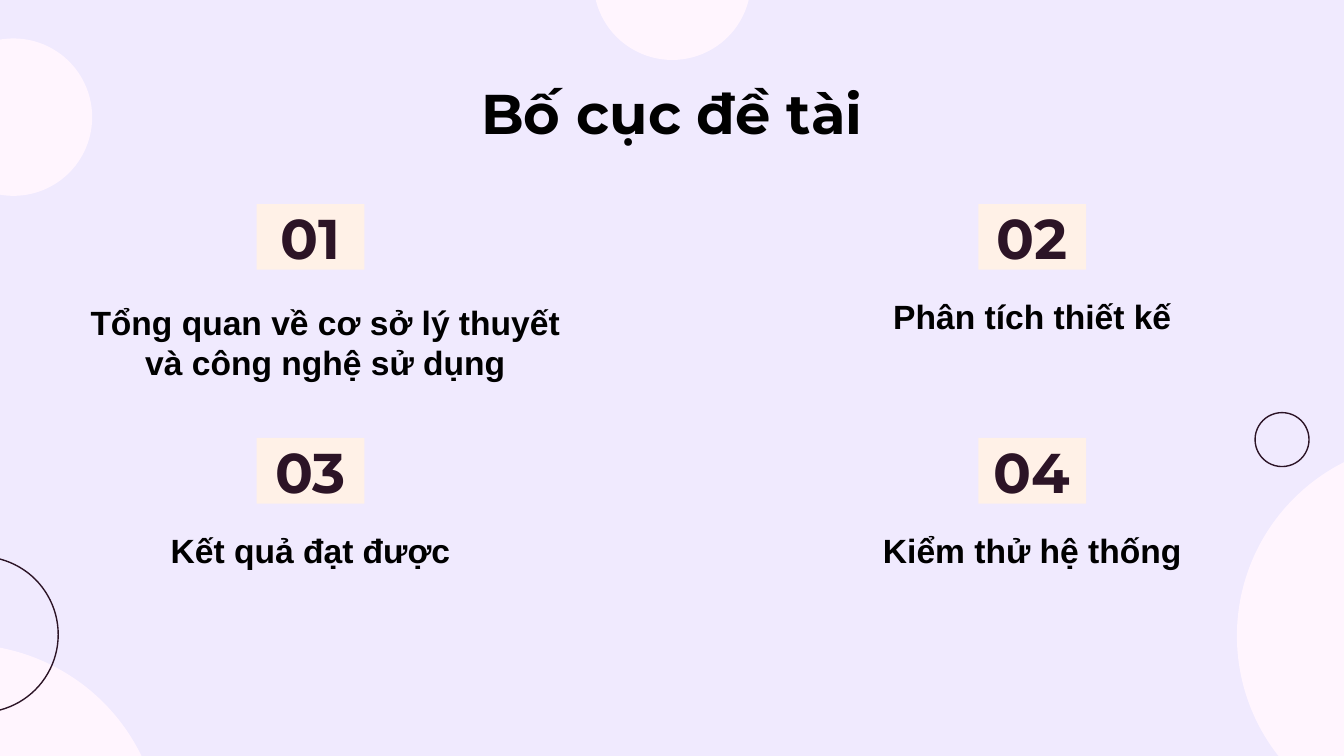
from pptx import Presentation
from pptx.dml.color import RGBColor
from pptx.enum.shapes import MSO_SHAPE
from pptx.enum.text import MSO_ANCHOR, PP_ALIGN
from pptx.util import Cm, Pt

BACKGROUND, BLUSH, PEACH, PLUM, BLACK = "F0EAFE", "FFF5FE", "FFF1E7", "2C1426", "000000"
HEADING = {"name": "Montserrat", "size": Pt(30), "bold": True}
BODY = {"name": "Arial", "size": Pt(18), "bold": True}


def rgb(value):
    return RGBColor.from_string(value)


class OutlineSlide:
    def __init__(self, prs):
        self.s = prs.slides.add_slide(prs.slide_layouts[5])
        fill = self.s.background.fill
        fill.solid()
        fill.fore_color.rgb = rgb(BACKGROUND)

    def set_text(self, sp, text, style, color, anchor=MSO_ANCHOR.TOP):
        tf = sp.text_frame
        frame = {"word_wrap": True, "vertical_anchor": anchor}
        for side in ("left", "top", "right", "bottom"):
            frame["margin_" + side] = Cm(0.25)
        for name, value in frame.items():
            setattr(tf, name, value)
        p = tf.paragraphs[0]
        p.alignment = PP_ALIGN.CENTER
        r = p.add_run()
        r.text = text
        for name, value in style.items():
            setattr(r.font, name, value)
        r.font.color.rgb = rgb(color)

    def title(self, text, left, top, width, height):
        sp = self.s.shapes.title
        box = {"left": left, "top": top, "width": width, "height": height}
        for name, value in box.items():
            setattr(sp, name, Cm(value))
        self.set_text(sp, text, HEADING, BLACK)

    def shape(self, kind, left, top, width, height, fill=None, line=None):
        sp = self.s.shapes.add_shape(kind, Cm(left), Cm(top), Cm(width), Cm(height))
        sp.shadow.inherit = False
        if fill:
            sp.fill.solid()
            sp.fill.fore_color.rgb = rgb(fill)
        else:
            sp.fill.background()
        if line:
            sp.line.color.rgb = rgb(line)
            sp.line.width = Pt(0.75)
        else:
            sp.line.fill.background()
        return sp

    def circle(self, left, top, size, fill, line):
        self.shape(MSO_SHAPE.OVAL, left, top, size, size, fill, line)

    def badge(self, text, center, top):
        sp = self.shape(MSO_SHAPE.RECTANGLE, center - 1.02, top, 2.04, 1.24, PEACH)
        self.set_text(sp, text, HEADING, PLUM, MSO_ANCHOR.MIDDLE)

    def caption(self, text, center, top, width):
        sp = self.s.shapes.add_textbox(Cm(center - width / 2), Cm(top), Cm(width), Cm(1.24))
        self.set_text(sp, text, BODY, BLACK)


def main():
    prs = Presentation()
    prs.slide_width, prs.slide_height = Cm(25.4), Cm(14.29)
    slide = OutlineSlide(prs)

    # Background circles: filled, then outlined
    for left, top, size in [(-4.45, 12.19, 7.49), (23.39, 8.36, 7.32),
                            (-1.22, 0.74, 2.95), (11.23, -1.83, 2.95)]:
        slide.circle(left, top, size, BLUSH, BLUSH)
    for left, top, size in [(-1.85, 10.52, 2.95), (23.72, 7.8, 1.02)]:
        slide.circle(left, top, size, None, PLUM)

    slide.title("Bố cục đề tài", 2, 1.24, 21.4, 1.6)

    # Sections in a two by two grid: text, caption width, caption shift
    sections = [
        ("Tổng quan về cơ sở lý thuyết và công nghệ sử dụng", 9.4, (0.28, 0.1)),
        ("Phân tích thiết kế", 6.4, (0, 0)),
        ("Kết quả đạt được", 6.4, (0, 0)),
        ("Kiểm thử hệ thống", 6.4, (0, 0)),
    ]
    for i, (text, width, (dx, dy)) in enumerate(sections):
        row, column = divmod(i, 2)
        center, top = 5.87 + column * 13.64, 3.86 + row * 4.42
        slide.badge(f"{i + 1:02d}", center, top)
        slide.caption(text, center + dx, top + 1.49 + dy, width)

    prs.save("out.pptx")


if __name__ == "__main__":
    main()
